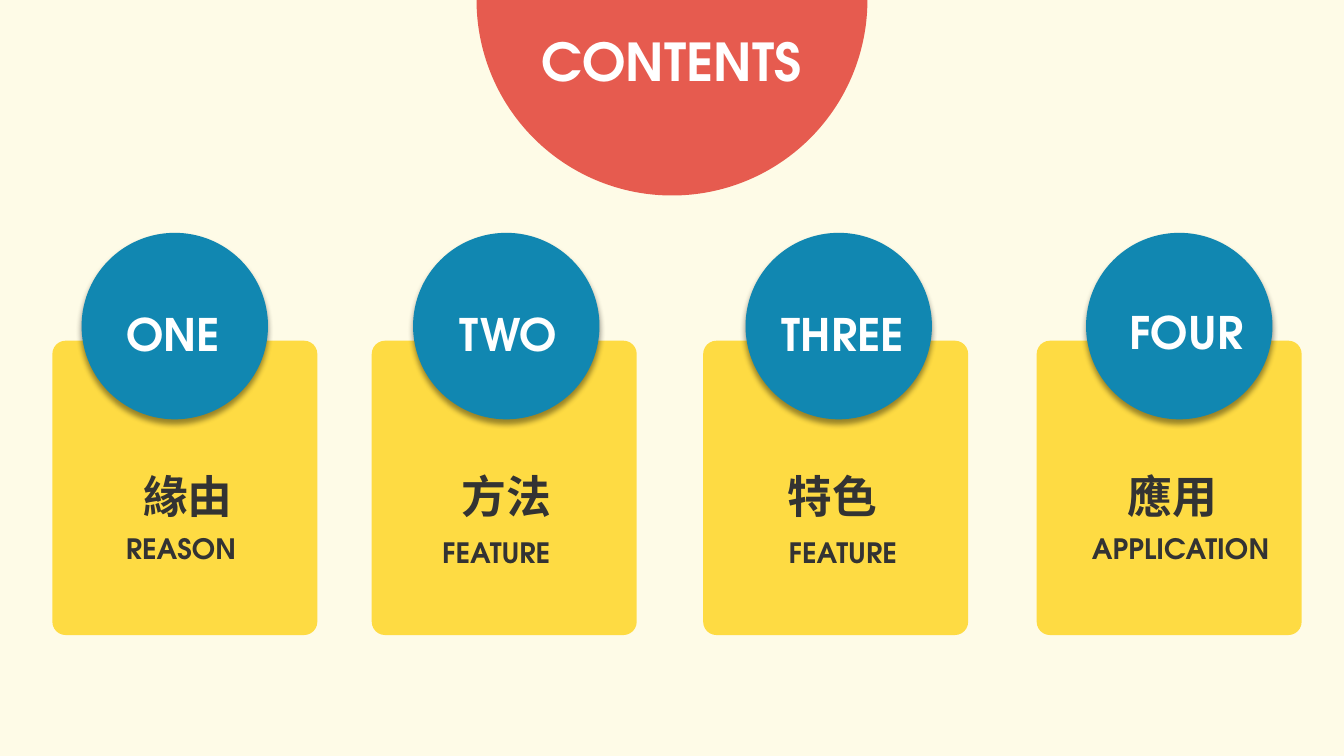
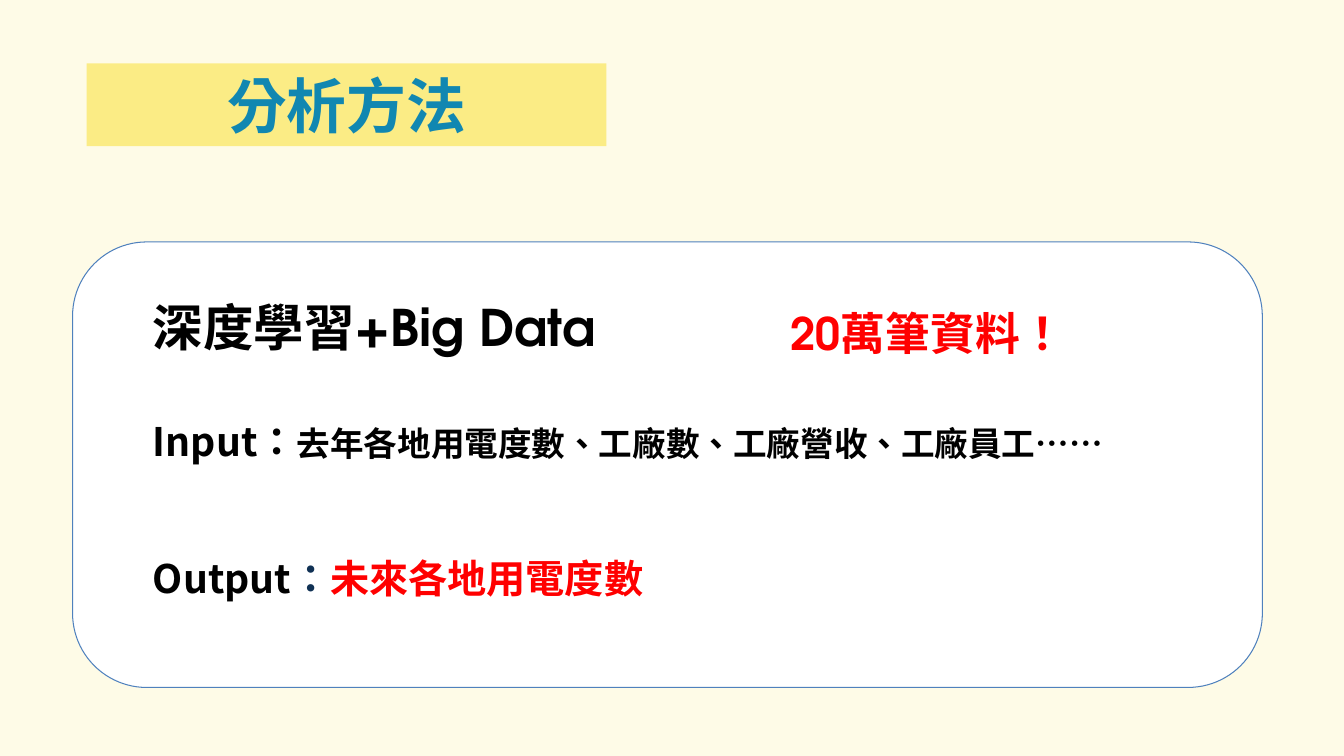
from dataclasses import dataclass

from lxml import etree
from pptx import Presentation
from pptx.dml.color import RGBColor
from pptx.enum import lang, shapes, text
from pptx.oxml import ns
from pptx.util import Inches, Pt


@dataclass(frozen=True)
class Theme:
    cream: str = "FEFBE7"
    yellow: str = "FEDB43"
    pale: str = "FBEC85"
    blue: str = "1187B1"
    coral: str = "E65B4F"
    white: str = "FFFFFF"
    ink: str = "333333"
    black: str = "000000"
    navy: str = "103154"
    red: str = "FF0000"
    outline: str = "4F81BD"
    font: str = "TeX Gyre Adventor"
    cjk: str = "Noto Sans CJK SC"
    banner: float = 42.7
    heading: float = 37.3
    topic: float = 36
    label: float = 32
    entry: float = 28
    detail: float = 24
    caption: float = 20


@dataclass(frozen=True)
class Box:
    x: float
    y: float
    w: float
    h: float


@dataclass(frozen=True)
class Span:
    text: str
    size: float
    color: str
    font: str = "TeX Gyre Adventor"


@dataclass(frozen=True)
class Section:
    number: str
    name: str
    caption: str
    card_x: float
    disc_x: float
    number_box: Box
    name_x: float
    caption_box: Box


@dataclass(frozen=True)
class Note:
    box: Box
    spans: tuple[Span, ...]
    wrap: bool = False


T = Theme()
ALIGN = text.PP_ALIGN
SHAPE = shapes.MSO_SHAPE

SECTIONS = (
    Section("ONE", "緣由", "REASON", 0.52, 0.81,
            Box(1.15, 2.99, 1.14, 0.64), 0.58, Box(1.15, 5.22, 1.35, 0.44)),
    Section("TWO", "方法", "FEATURE", 3.69, 4.1,
            Box(4.42, 2.99, 1.26, 0.64), 3.74, Box(4.29, 5.26, 1.3, 0.44)),
    Section("THREE", "特色", "FEATURE", 6.98, 7.4,
            Box(7.61, 2.99, 1.51, 0.64), 6.98, Box(7.73, 5.26, 1.3, 0.44)),
    Section("FOUR", "應用", "APPLICATION", 10.29, 10.78,
            Box(11.07, 2.97, 1.41, 0.64), 10.35, Box(10.74, 5.22, 1.99, 0.44)),
)

NOTES = (
    Note(Box(1.42, 2.89, 4.63, 0.71),
         (Span("深度學習+Big Data", T.topic, T.black),), wrap=True),
    Note(Box(7.75, 2.98, 2.95, 0.64),
         (Span("20萬筆資料！", T.label, T.red),)),
    Note(Box(1.42, 4.09, 10.05, 0.57),
         (Span("Input：", T.entry, T.black, T.cjk),
          Span("去年各地用電度數、工廠數、工廠營收、工廠員工……", T.detail, T.black, T.cjk))),
    Note(Box(1.42, 5.45, 5.15, 0.57),
         (Span("Output", T.entry, T.black, T.cjk),
          Span("：", T.entry, T.navy, T.cjk),
          Span("未來各地用電度數", T.entry, T.red, T.cjk)), wrap=True),
)


def place(sp, box: Box) -> None:
    sp.left, sp.top = Inches(box.x), Inches(box.y)
    sp.width, sp.height = Inches(box.w), Inches(box.h)


def paint(sp, color: str) -> None:
    sp.fill.solid()
    sp.fill.fore_color.rgb = RGBColor.from_string(color)


def write(sp, spans: tuple[Span, ...], align=ALIGN.LEFT, wrap: bool = False,
          spacing: float = 1.0) -> None:
    tf = sp.text_frame
    tf.word_wrap = wrap
    tf.auto_size = text.MSO_AUTO_SIZE.NONE
    tf.vertical_anchor = text.MSO_ANCHOR.TOP
    p = tf.paragraphs[0]
    p.alignment = align
    p.line_spacing = spacing
    for span in spans:
        r = p.add_run()
        r.text = span.text
        f = r.font
        f.name, f.size, f.bold = span.font, Pt(span.size), True
        f.color.rgb = RGBColor.from_string(span.color)
        f.language_id = lang.MSO_LANGUAGE_ID.TRADITIONAL_CHINESE
        ea = etree.SubElement(r._r.get_or_add_rPr(), ns.qn("a:ea"))
        ea.set("typeface", T.cjk)


def add_figure(s, kind, box: Box, color: str, line: str | None = None,
               radius: float | None = None):
    sp = s.shapes.add_shape(kind, 0, 0, 0, 0)
    place(sp, box)
    paint(sp, color)
    sp.shadow.inherit = False
    if line:
        sp.line.color.rgb = RGBColor.from_string(line)
        sp.line.width = Pt(0.75)
    else:
        sp.line.fill.background()
    if radius is not None:
        sp.adjustments[0] = radius
    return sp


def add_label(s, box: Box, spans: tuple[Span, ...], align=ALIGN.LEFT,
              wrap: bool = False, spacing: float = 1.0) -> None:
    sp = s.shapes.add_textbox(0, 0, 0, 0)
    place(sp, box)
    write(sp, spans, align, wrap, spacing)


def cast_shadow(sp) -> None:
    effects = sp._element.spPr.find(ns.qn("a:effectLst"))
    outer = etree.SubElement(effects, ns.qn("a:outerShdw"), blurRad=str(Pt(4)),
                             dist=str(Pt(3)), dir="5400000", rotWithShape="0")
    color = etree.SubElement(outer, ns.qn("a:srgbClr"), val=T.black)
    etree.SubElement(color, ns.qn("a:alpha"), val="40000")


def add_title(s, box: Box, span: Span):
    sp = s.shapes.title
    place(sp, box)
    write(sp, (span,), ALIGN.CENTER)
    s.shapes._spTree.append(sp._element)
    return sp


def add_section(s, section: Section) -> None:
    add_figure(s, SHAPE.ROUNDED_RECTANGLE, Box(section.card_x, 3.38, 2.63, 2.92),
               T.yellow, radius=0.05)
    disc = add_figure(s, SHAPE.OVAL, Box(section.disc_x, 2.31, 1.85, 1.85), T.blue)
    cast_shadow(disc)
    add_label(s, section.number_box, (Span(section.number, T.label, T.white),),
              ALIGN.CENTER)
    add_label(s, Box(section.name_x, 4.44, 2.57, 0.77),
              (Span(section.name, T.label, T.ink),), ALIGN.CENTER, True, 1.3)
    add_label(s, section.caption_box, (Span(section.caption, T.caption, T.ink),))


def build_contents(s) -> None:
    add_figure(s, SHAPE.OVAL, Box(4.73, -1.94, 3.88, 3.88), T.coral)
    add_title(s, Box(5.26, 0.24, 2.81, 0.73), Span("CONTENTS", T.heading, T.white))
    for section in SECTIONS:
        add_section(s, section)


def build_method(s) -> None:
    title = add_title(s, Box(0.86, 0.63, 5.16, 0.82),
                      Span("分析方法", T.banner, T.blue))
    paint(title, T.pale)
    add_figure(s, SHAPE.ROUNDED_RECTANGLE, Box(0.72, 2.4, 11.81, 4.42), T.white,
               line=T.outline)
    for note in NOTES:
        add_label(s, note.box, note.spans, wrap=note.wrap)


def main() -> None:
    prs = Presentation()
    prs.slide_width, prs.slide_height = Inches(13.34), Inches(7.5)
    paint(prs.slide_master.background, T.cream)
    for build in (build_contents, build_method):
        build(prs.slides.add_slide(prs.slide_layouts[5]))
    prs.save("out.pptx")


if __name__ == "__main__":
    main()
